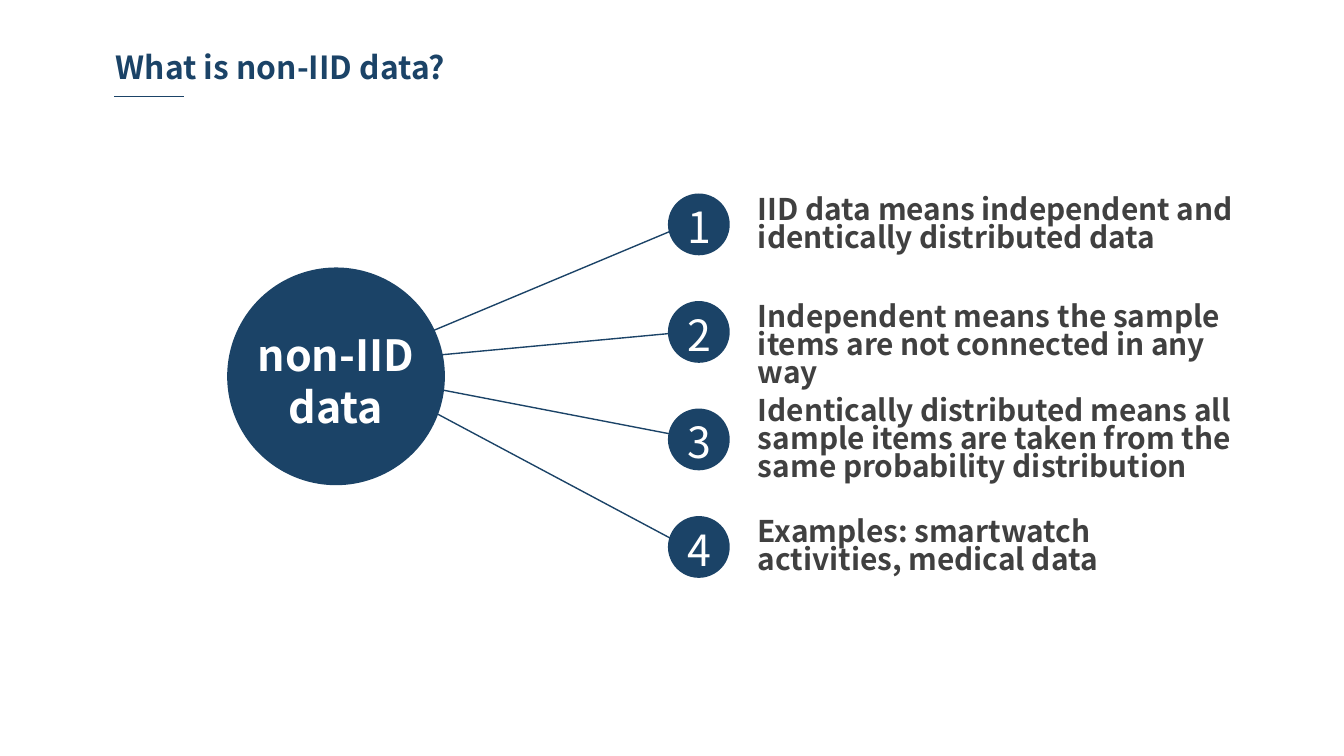
from pptx import Presentation, util as u
from pptx.dml.color import RGBColor
from pptx.enum import shapes, text
from pptx.oxml.ns import qn
from lxml import etree

hues = {"navy": "1B4367", "gray": "404040", "white": "FFFFFF"}
face = "Noto Sans CJK SC"
left, mid = text.PP_ALIGN.LEFT, text.PP_ALIGN.CENTER
head = {"size": 17, "bold": True, "hue": "navy", "lead": 20, "align": left, "pad": 0.04}
body = {"size": 16, "bold": True, "hue": "gray", "lead": 15, "align": left, "pad": 0.04}
digit = {"size": 23, "bold": False, "hue": "white", "lead": 28, "align": mid, "pad": 0.05}
core = {**digit, "bold": True}

deck = Presentation()
deck.slide_width, deck.slide_height = u.Inches(10), u.Inches(10 * 9 / 16)
slide = deck.slides.add_slide(deck.slide_layouts[5])
parts = slide.shapes


def write(box, words, form):
    frame = box.text_frame
    pad = u.Inches(form["pad"])
    setup = {"text": words, "word_wrap": True, "auto_size": text.MSO_AUTO_SIZE.NONE,
             "vertical_anchor": text.MSO_ANCHOR.TOP, "margin_left": pad,
             "margin_right": pad, "margin_top": pad, "margin_bottom": pad}
    for key, val in setup.items():
        setattr(frame, key, val)
    for para in frame.paragraphs:
        para.alignment = form["align"]
        para.line_spacing = u.Pt(form["lead"])
        para.space_before = u.Pt(0)
        looks = {"name": face, "size": u.Pt(form["size"]), "bold": form["bold"]}
        for key, val in looks.items():
            setattr(para.font, key, val)
        para.font.color.rgb = RGBColor.from_string(hues[form["hue"]])


def disc(x, y, size):
    dot = parts.add_shape(shapes.MSO_SHAPE.OVAL, *map(u.Inches, (x, y, size, size)))
    dot.shadow.inherit = False
    dot.fill.solid()
    dot.fill.fore_color.rgb = RGBColor.from_string(hues["navy"])
    dot.line.fill.background()


title = parts.title
place = {"left": 0.82, "top": 0.32, "width": 5.12, "height": 0.35}
for key, val in place.items():
    setattr(title, key, u.Inches(val))
write(title, "What is non-IID data?", head)

lines = [
    (0.85, 0.72, 1.37, 0.72),
    (2.65, 2.7, 5.11, 1.67),
    (2.64, 2.7, 5.11, 2.47),
    (2.71, 2.79, 5.2, 3.27),
    (2.71, 2.79, 5.11, 4.07),
]
for ends in lines:
    line = parts.add_connector(shapes.MSO_CONNECTOR.STRAIGHT, *map(u.Inches, ends))
    line.line.width = u.Pt(0.75)
    line.line.color.rgb = RGBColor.from_string(hues["navy"])
    etree.SubElement(line._element.spPr, qn("a:effectLst"))

points = [
    ("IID data means independent and identically distributed data", 1.44, 3.87, 0.5),
    ("Independent means the sample items are not connected in any way", 2.23, 3.87, 0.5),
    ("Identically distributed means all sample items are taken from the "
     "same probability distribution", 2.93, 3.87, 0.71),
    ("Examples: smartwatch activities, medical data", 3.83, 3.33, 0.5),
]
for num, (words, top, width, height) in enumerate(points):
    y = 1.44 + 0.8 * num
    disc(4.97, y, 0.46)
    label = parts.add_textbox(*map(u.Inches, (5.03, y, 0.35, 0.49)))
    write(label, str(num + 1), digit)
    note = parts.add_textbox(*map(u.Inches, (5.6, top, width, height)))
    write(note, words, body)

disc(1.69, 1.99, 1.62)
topic = parts.add_textbox(*map(u.Inches, (1.74, 2.39, 1.52, 0.88)))
write(topic, "non-IID\ndata", core)

deck.save("out.pptx")
